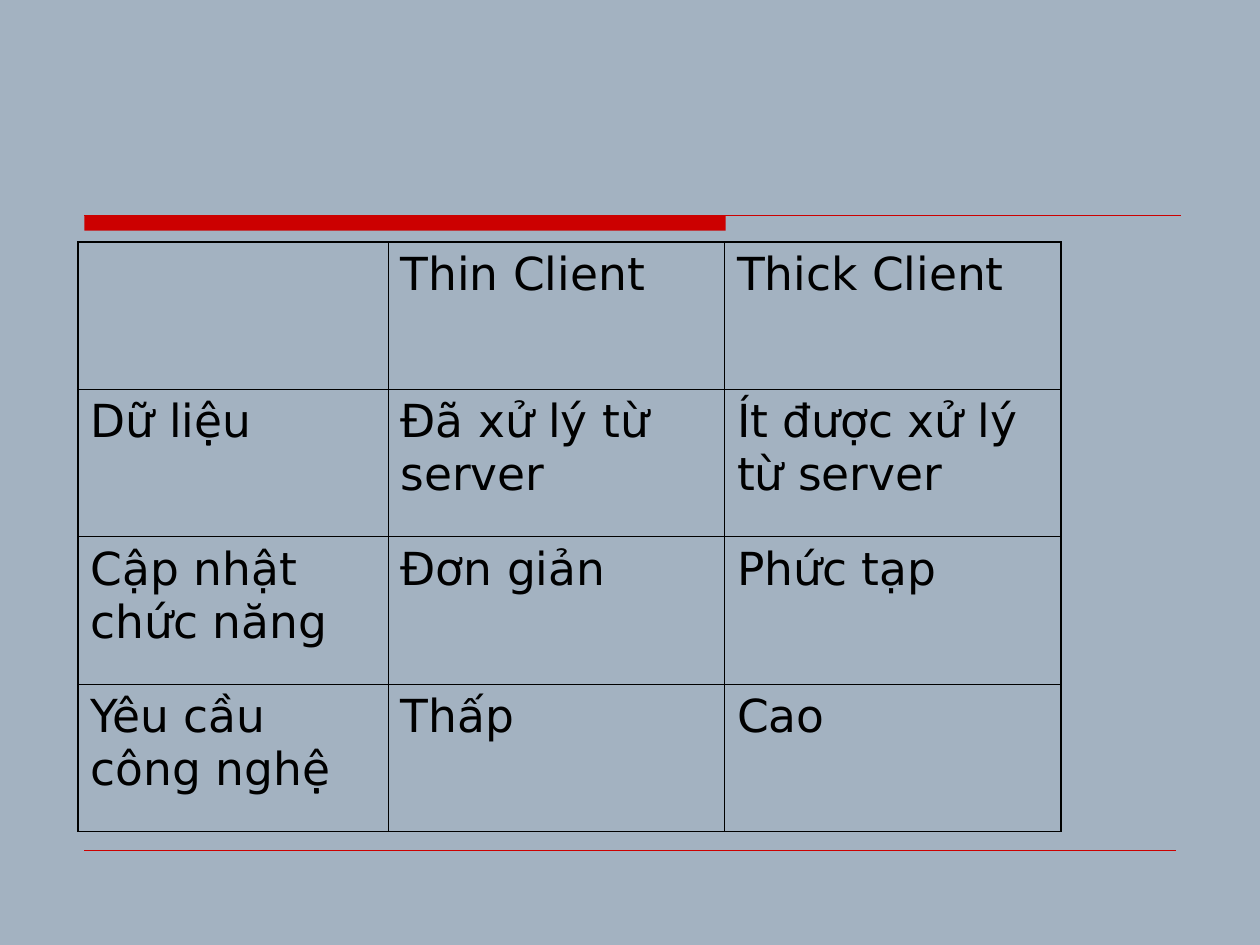
from lxml import etree
from pptx import Presentation
from pptx.dml.color import RGBColor
from pptx.enum.shapes import MSO_CONNECTOR, MSO_SHAPE
from pptx.oxml.ns import qn
from pptx.util import Inches, Pt

STRAIGHT = MSO_CONNECTOR.STRAIGHT
RECTANGLE = MSO_SHAPE.RECTANGLE

COLORS = {"background": "A3B2C1", "accent": "CC0000", "ink": "000000"}
FONT = "DejaVu Sans"
SLIDE_WIDTH, SLIDE_HEIGHT = 10, 7.5
MARGIN = 0.67
HEADER_Y, FOOTER_Y = 1.71, 6.75
TABLE_LEFT, TABLE_TOP = 0.62, 1.92
COLUMN_WIDTHS = [2.46, 2.67, 2.67]
ROW_HEIGHT = 1.17
OUTER_BORDER, INNER_BORDER = 1.08, 0.45

COMPARISON = [
    ["", "Thin Client", "Thick Client"],
    ["Dữ liệu", "Đã xử lý từ server", "Ít được xử lý từ server"],
    ["Cập nhật chức năng", "Đơn giản", "Phức tạp"],
    ["Yêu cầu công nghệ", "Thấp", "Cao"],
]


def color(name):
    return RGBColor.from_string(COLORS[name])


def add_rule(slide, right, y, weight):
    rule = slide.shapes.add_connector(
        STRAIGHT, Inches(MARGIN), Inches(y), Inches(right), Inches(y))
    rule.line.color.rgb = color("accent")
    rule.line.width = Pt(weight)
    etree.SubElement(rule._element.spPr, qn("a:effectLst"))


def add_header_bar(slide, width, height):
    bar = slide.shapes.add_shape(
        RECTANGLE, Inches(MARGIN), Inches(HEADER_Y), Inches(width), Inches(height))
    bar.shadow.inherit = False
    bar.fill.solid()
    bar.fill.fore_color.rgb = color("accent")
    bar.line.fill.background()


def set_borders(cell, weights):
    properties = cell._tc.get_or_add_tcPr()
    for position, (side, weight) in enumerate(weights.items()):
        border = etree.Element(qn(f"a:ln{side}"), w=str(Pt(weight)))
        fill = etree.SubElement(border, qn("a:solidFill"))
        etree.SubElement(fill, qn("a:srgbClr"), val=COLORS["ink"])
        properties.insert(position, border)


def write_cell(cell, text):
    cell.fill.background()
    if not text:
        return
    paragraph = cell.text_frame.paragraphs[0]
    paragraph.space_before = Pt(6.5)
    run = paragraph.add_run()
    run.text = text
    run.font.name = FONT
    run.font.size = Pt(26)
    run.font.color.rgb = color("ink")


def add_comparison(slide):
    row_count, column_count = len(COMPARISON), len(COLUMN_WIDTHS)
    table = slide.shapes.add_table(
        row_count, column_count, Inches(TABLE_LEFT), Inches(TABLE_TOP),
        Inches(sum(COLUMN_WIDTHS)), Inches(ROW_HEIGHT * row_count)).table
    table.first_row = False
    table.horz_banding = False
    for column, width in zip(table.columns, COLUMN_WIDTHS):
        column.width = Inches(width)
    for r, texts in enumerate(COMPARISON):
        table.rows[r].height = Inches(ROW_HEIGHT)
        for c, text in enumerate(texts):
            cell = table.cell(r, c)
            write_cell(cell, text)
            outer_sides = {"L": c == 0, "R": c == column_count - 1,
                           "T": r == 0, "B": r == row_count - 1}
            set_borders(cell, {side: OUTER_BORDER if outer else INNER_BORDER
                               for side, outer in outer_sides.items()})


def main():
    prs = Presentation()
    prs.slide_width = Inches(SLIDE_WIDTH)
    prs.slide_height = Inches(SLIDE_HEIGHT)
    slide = prs.slides.add_slide(prs.slide_layouts[6])
    slide.background.fill.solid()
    slide.background.fill.fore_color.rgb = color("background")

    add_header_bar(slide, 5.09, 0.12)
    add_rule(slide, 9.37, HEADER_Y, 0.75)
    add_rule(slide, SLIDE_WIDTH - MARGIN, FOOTER_Y, 0.25)
    add_comparison(slide)
    prs.save("out.pptx")


if __name__ == "__main__":
    main()
